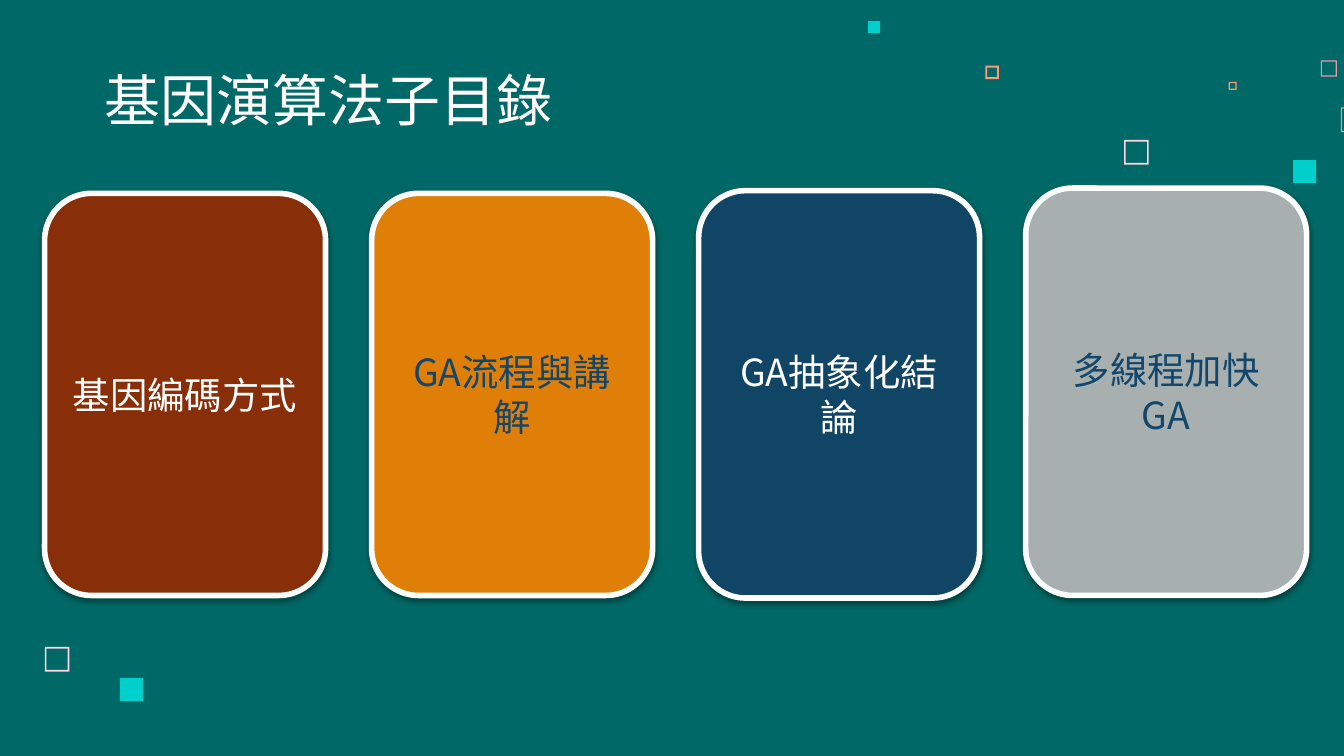
import dataclasses

import lxml.etree
import pptx
import pptx.dml.color
import pptx.enum.shapes
import pptx.enum.text
import pptx.oxml
import pptx.oxml.ns
import pptx.util

Pt = pptx.util.Pt
SHAPE = pptx.enum.shapes.MSO_SHAPE
ALIGN = pptx.enum.text.PP_ALIGN
ANCHOR = pptx.enum.text.MSO_ANCHOR
qn = pptx.oxml.ns.qn


@dataclasses.dataclass(frozen=True)
class Theme:
    font: str = "Noto Sans CJK JP"
    title_size: float = 30
    card_size: float = 20
    background: str = "006866"
    white: str = "FFFFFF"
    rust: str = "9B2C02"
    orange: str = "FF8800"
    navy: str = "13466B"
    gray: str = "BFBFBF"
    turquoise: str = "00CFCC"
    blush: str = "FFD6E1"
    rose: str = "E898AC"
    peach: str = "FF9973"


def rgb(color):
    return pptx.dml.color.RGBColor.from_string(color)


def write_text(frame, text, *, font, size, color, align, anchor, insets):
    frame.word_wrap = True
    frame.auto_size = pptx.enum.text.MSO_AUTO_SIZE.NONE
    frame.vertical_anchor = anchor
    frame.margin_left = frame.margin_right = Pt(insets[0])
    frame.margin_top = frame.margin_bottom = Pt(insets[1])
    paragraph = frame.paragraphs[0]
    paragraph.alignment = align
    run = paragraph.add_run()
    run.text = text
    run.font.name = font
    run.font.size = Pt(size)
    run.font.color.rgb = rgb(color)
    latin = run.font._element.find(qn("a:latin"))
    east_asian = lxml.etree.Element(qn("a:ea"), typeface=font)
    latin.addnext(east_asian)


class SlideBuilder:
    def __init__(self, slide, theme):
        self.slide = slide
        self.theme = theme
        slide.background.fill.solid()
        slide.background.fill.fore_color.rgb = rgb(theme.background)

    def preset(self, kind, left, top, width, height, color):
        shape = self.slide.shapes.add_shape(kind, Pt(left), Pt(top), Pt(width), Pt(height))
        shape.shadow.inherit = False
        shape.fill.solid()
        shape.fill.fore_color.rgb = rgb(color)
        shape.line.fill.background()
        return shape

    def title(self, text, left, top, width, height):
        heading = self.slide.shapes.title
        heading.left, heading.top = Pt(left), Pt(top)
        heading.width, heading.height = Pt(width), Pt(height)
        write_text(heading.text_frame, text, font=self.theme.font,
                   size=self.theme.title_size, color=self.theme.white,
                   align=ALIGN.LEFT, anchor=ANCHOR.BOTTOM, insets=(7.2, 7.2))

    def square(self, left, top, size, color):
        self.preset(SHAPE.RECTANGLE, left, top, size, size, color)

    def outlined_square(self, left, top, size, color, thickness):
        outline = self.preset(SHAPE.FRAME, left, top, size, size, color)
        outline.adjustments[0] = thickness / size

    def card(self, text, left, top, width, height, fill, color):
        card = self.preset(SHAPE.ROUNDED_RECTANGLE, left, top, width, height, fill)
        card.line.color.rgb = rgb(self.theme.white)
        card.line.width = Pt(3)
        properties = card._element.spPr
        fill_color = properties.find(qn("a:solidFill")).find(qn("a:srgbClr"))
        lxml.etree.SubElement(fill_color, qn("a:alpha"), val="88000")
        shadow = lxml.etree.SubElement(
            properties.find(qn("a:effectLst")), qn("a:outerShdw"),
            blurRad=str(Pt(3.1)), dist=str(Pt(1.6)), dir="5400000", rotWithShape="0")
        shadow_color = lxml.etree.SubElement(shadow, qn("a:srgbClr"), val="000000")
        lxml.etree.SubElement(shadow_color, qn("a:alpha"), val="38000")
        write_text(card.text_frame, text, font=self.theme.font,
                   size=self.theme.card_size, color=color,
                   align=ALIGN.CENTER, anchor=ANCHOR.MIDDLE, insets=(7.2, 3.6))


def main():
    theme = Theme()
    deck = pptx.Presentation()
    deck.slide_width, deck.slide_height = Pt(720), Pt(405)
    builder = SlideBuilder(deck.slides.add_slide(deck.slide_layouts[5]), theme)

    for left, top, size, color, thickness in (
        (602.2, 75, 13.2, theme.blush, 0.9),
        (707.6, 32.4, 8.6, theme.rose, 0.6),
        (658.2, 43.9, 4.3, theme.peach, 0.7),
        (718.3, 57.6, 13.2, theme.peach, 0.6),
        (527.9, 35.2, 7.2, theme.peach, 1),
        (24, 346.6, 13.2, theme.blush, 0.9),
    ):
        builder.outlined_square(left, top, size, color, thickness)

    for left, top, size in ((692.7, 85.8, 12.4), (465, 11.3, 6.5), (64.2, 363.2, 12.4)):
        builder.square(left, top, size, theme.turquoise)

    topics = (
        ("基因編碼方式", 103.6, 215.4, theme.rust, theme.white),
        ("GA流程與講解", 103.6, 215.4, theme.orange, theme.navy),
        ("GA抽象化結論", 102.2, 218.2, theme.navy, theme.white),
        ("多線程加快GA", 100.8, 218.2, theme.gray, theme.navy),
    )
    first_left, pitch, card_width = 23.9, 175.2, 150.5
    for index, (topic, top, height, fill, color) in enumerate(topics):
        builder.card(topic, first_left + index * pitch, top, card_width, height, fill, color)

    builder.title("基因演算法子目錄", 49, 32.4, 463.7, 46)
    deck.save("out.pptx")


if __name__ == "__main__":
    main()
